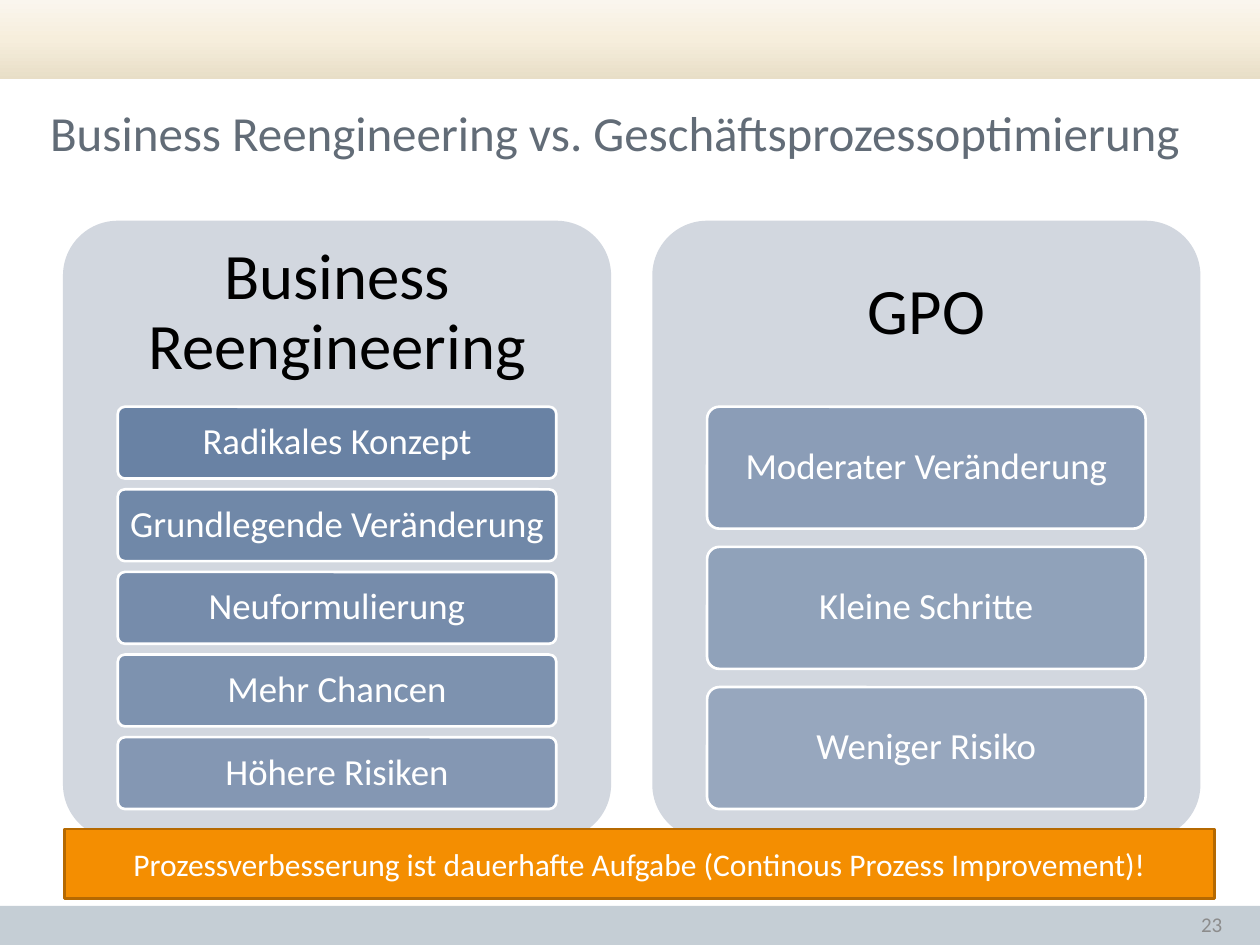
"""Build the slide that compares business reengineering with process optimisation."""
from copy import deepcopy

from lxml import etree
from pptx import Presentation
from pptx.dml.color import RGBColor
from pptx.enum.shapes import MSO_SHAPE
from pptx.enum.text import MSO_ANCHOR, PP_ALIGN
from pptx.oxml.ns import qn
from pptx.util import Cm, Pt

RECT, ROUND = MSO_SHAPE.RECTANGLE, MSO_SHAPE.ROUNDED_RECTANGLE
LEFT, MID, RIGHT = PP_ALIGN.LEFT, PP_ALIGN.CENTER, PP_ALIGN.RIGHT
CENTER = MSO_ANCHOR.MIDDLE

TITLE = "Business Reengineering vs. Geschäftsprozessoptimierung"
PANELS = [
    ("Business Reengineering", ["Radikales Konzept", "Grundlegende Veränderung",
                                "Neuformulierung", "Mehr Chancen", "Höhere Risiken"]),
    ("GPO", ["Moderater Veränderung", "Kleine Schritte", "Weniger Risiko"]),
]
CLAIM = "Prozessverbesserung ist dauerhafte Aufgabe (Continous Prozess Improvement)!"
PAGE = "23"
BAND = [("E8DEC7", 0), ("F6EEDC", 0.5), ("FAF6EE", 1)]

PANEL_X, PANEL_Y, PANEL_W, PANEL_H, STEP = 1.27, 4.45, 11.05, 12.47, 11.88
HEAD_H, BAR_Y, BAR_W, STACK_H, GAP = 3.73, 8.2, 8.84, 8.11, 0.15
FIRST, LAST = 90, 50


def color(code):
    return RGBColor.from_string(code)


def write(shape, text, size=21, code="FFFFFF", align=MID, pad=0.25, side=None, line=1):
    frame = shape.text_frame
    frame.word_wrap = True
    frame.vertical_anchor = CENTER
    frame.margin_left = frame.margin_right = Cm(pad if side is None else side)
    frame.margin_top = frame.margin_bottom = Cm(pad)
    para = frame.paragraphs[0]
    para.alignment = align
    para.line_spacing = line
    run = para.add_run()
    run.text = text
    run.font.name = "Calibri"
    run.font.size = Pt(size)
    run.font.color.rgb = color(code)


def block(shapes, kind, box, fill, edge=None, alpha=None):
    shape = shapes.add_shape(kind, *map(Cm, box))
    shape.shadow.inherit = False
    if kind == ROUND:
        shape.adjustments[0] = 0.1
    shape.fill.solid()
    shape.fill.fore_color.rgb = color(fill)
    if alpha is not None:
        tone = shape.fill._xPr.find(".//" + qn("a:srgbClr"))
        etree.SubElement(tone, qn("a:alpha")).set("val", str(round(alpha * 1000)))
    if edge:
        shape.line.color.rgb = color(edge)
        shape.line.width = Pt(1.5)
    else:
        shape.line.fill.background()
    return shape


def label(shapes, box, text, **style):
    write(shapes.add_textbox(*map(Cm, box)), text, **style)


def shade(shape, stops):
    fill = shape.fill
    fill.gradient()
    fill.gradient_angle = 90
    row = fill._xPr.find(".//" + qn("a:gsLst"))
    row.append(deepcopy(row[-1]))
    for stop, (code, place) in zip(fill.gradient_stops, stops):
        stop.color.rgb = color(code)
        stop.position = place


def main():
    deck = Presentation()
    deck.slide_width, deck.slide_height = Cm(25.4), Cm(19.05)
    slide = deck.slides.add_slide(deck.slide_layouts[5])
    shapes = slide.shapes

    title = shapes.title
    title.left, title.top, title.width, title.height = map(Cm, (0.76, 1.57, 24.64, 2.18))
    write(title, TITLE, size=28, code="626C77", align=LEFT)

    shade(block(shapes, RECT, (0, 0, 25.4, 1.6), "FFFFFF"), BAND)
    block(shapes, RECT, (0, 18.26, 25.4, 0.79), "C5CED5")

    fade = (FIRST - LAST) / (sum(len(items) for _, items in PANELS) - 1)
    alpha = FIRST
    for col, (head, items) in enumerate(PANELS):
        left = PANEL_X + col * STEP
        block(shapes, ROUND, (left, PANEL_Y, PANEL_W, PANEL_H), "D2D7DF")
        label(shapes, (left, PANEL_Y, PANEL_W, HEAD_H), head,
              size=37, code="000000", pad=0.38, line=0.9)
        count = len(items)
        high = STACK_H / (count + GAP * (count - 1))
        for row, item in enumerate(items):
            box = (left + (PANEL_W - BAR_W) / 2, BAR_Y + row * high * (1 + GAP), BAR_W, high)
            bar = block(shapes, ROUND, box, "5E799E", "FFFFFF", alpha)
            write(bar, item, pad=0.1, side=0.15, line=0.9)
            alpha -= fade

    label(shapes, (18.97, 18.11, 5.92, 1.02), PAGE,
          size=12, code="8C8C8C", align=RIGHT, pad=0.13, side=0.25)
    claim = block(shapes, RECT, (1.3, 16.71, 23.19, 1.4), "F48E01", "B56901")
    write(claim, CLAIM, size=18, pad=0.13, side=0.25)
    deck.save("out.pptx")


if __name__ == "__main__":
    main()
